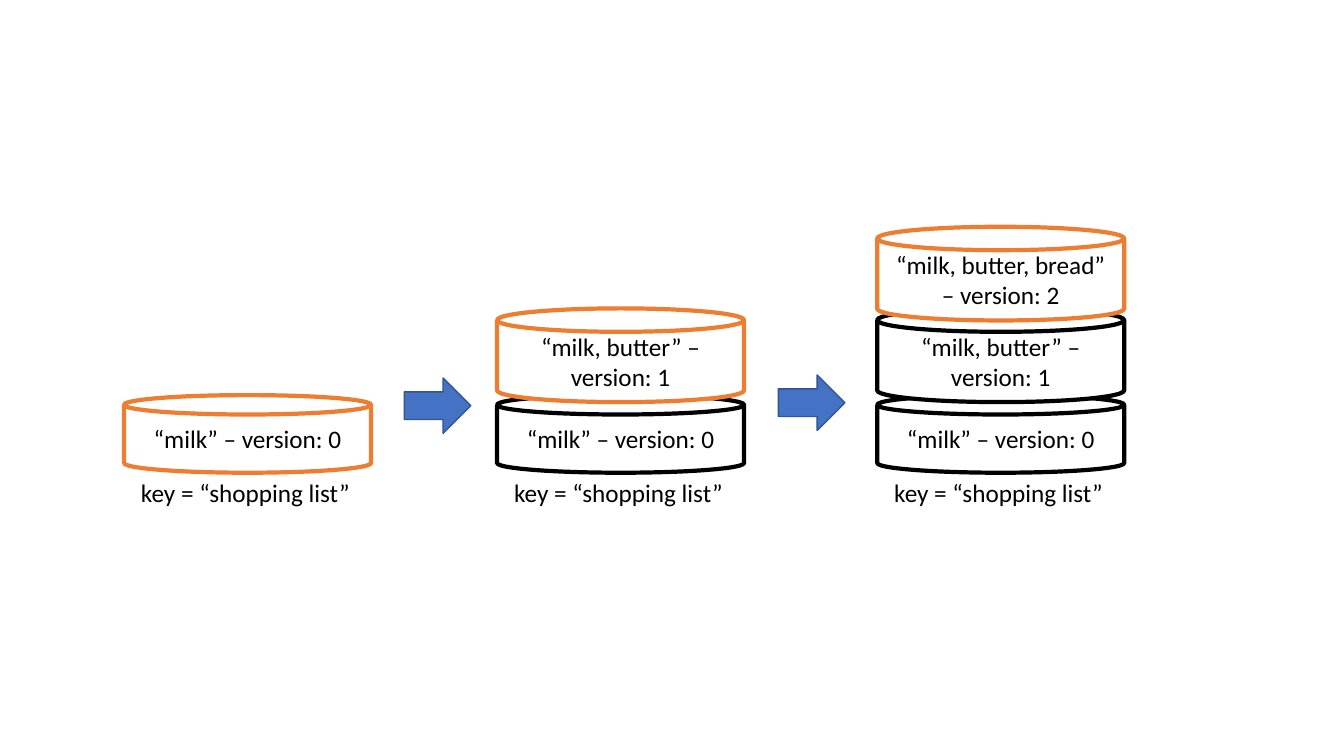
from pptx import Presentation
from pptx.dml.color import RGBColor
from pptx.enum.shapes import MSO_SHAPE
from pptx.enum.text import MSO_ANCHOR, MSO_AUTO_SIZE, PP_ALIGN
from pptx.util import Inches, Pt

CAN = MSO_SHAPE.CAN
RIGHT_ARROW = MSO_SHAPE.RIGHT_ARROW
MIDDLE = MSO_ANCHOR.MIDDLE
CENTER = PP_ALIGN.CENTER
GROW = MSO_AUTO_SIZE.SHAPE_TO_FIT_TEXT

FONT = "Calibri"
BLACK, WHITE, ORANGE = "000000", "FFFFFF", "ED7D31"
BLUE, DARK_BLUE = "4472C4", "325491"

KEY = "key = “shopping list”"
# Each version: text, top and height of its can
VERSIONS = [
    ("“milk” – version: 0", 3.92, 0.77),
    ("“milk, butter” – version: 1", 3.06, 0.93),
    ("“milk, butter, bread” – version: 2", 2.25, 0.93),
]
STACK_LEFTS = [1.23, 4.93, 8.7]
ARROW_POSITIONS = [(4.01, 3.75), (7.72, 3.72)]
CAN_WIDTH = 2.45


def color(hex_value):
    return RGBColor.from_string(hex_value)


def set_text(frame, text):
    frame.text = text
    font = frame.paragraphs[0].runs[0].font
    font.name = FONT
    font.size = Pt(18)
    font.color.rgb = color(BLACK)


def add_filled_shape(slide, kind, box, fill, line, line_width):
    shape = slide.shapes.add_shape(kind, *map(Inches, box))
    shape.shadow.inherit = False
    shape.fill.solid()
    shape.fill.fore_color.rgb = color(fill)
    shape.line.color.rgb = color(line)
    shape.line.width = Pt(line_width)
    return shape


def add_version(slide, left, version, outline):
    text, top, height = version
    can = add_filled_shape(slide, CAN, (left, top, CAN_WIDTH, height),
                           WHITE, outline, 3)
    frame = can.text_frame
    frame.word_wrap = True
    frame.vertical_anchor = MIDDLE
    set_text(frame, text)
    frame.paragraphs[0].alignment = CENTER


def add_key(slide, left):
    box = (left, 4.69, 2.3, 0.4)
    frame = slide.shapes.add_textbox(*map(Inches, box)).text_frame
    frame.word_wrap = False
    frame.auto_size = GROW
    set_text(frame, KEY)


def add_stack(slide, left, count):
    """Stack the first versions, with the newest one on top in orange."""
    for index, version in enumerate(VERSIONS[:count]):
        outline = ORANGE if index == count - 1 else BLACK
        add_version(slide, left, version, outline)
    add_key(slide, left + 0.07)


def main():
    prs = Presentation()
    prs.slide_width = Inches(13.33)
    prs.slide_height = Inches(7.5)
    slide = prs.slides.add_slide(prs.slide_layouts[6])

    # Stacks of versions, one more in each step
    for count, left in enumerate(STACK_LEFTS, start=1):
        add_stack(slide, left, count)

    # Arrows between the steps
    for left, top in ARROW_POSITIONS:
        add_filled_shape(slide, RIGHT_ARROW, (left, top, 0.66, 0.55),
                         BLUE, DARK_BLUE, 1)

    prs.save("out.pptx")


if __name__ == "__main__":
    main()
